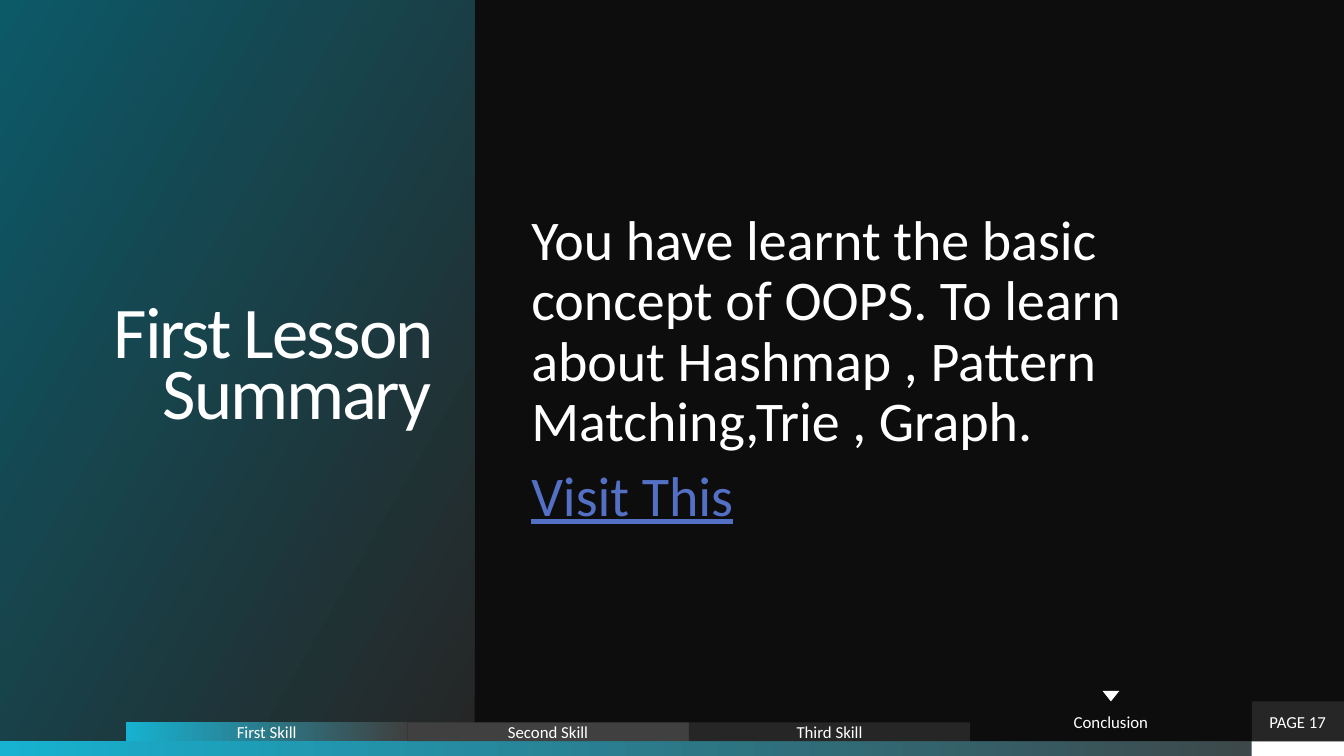
import pptx
import pptx.dml.color
import pptx.enum.shapes
import pptx.enum.text
import pptx.util

RGBColor = pptx.dml.color.RGBColor
MSO_SHAPE = pptx.enum.shapes.MSO_SHAPE
PP_ALIGN = pptx.enum.text.PP_ALIGN
MSO_ANCHOR = pptx.enum.text.MSO_ANCHOR

BLACK = RGBColor(0x0D, 0x0D, 0x0D)
DARK = RGBColor(0x26, 0x26, 0x26)
GREY = RGBColor(0x40, 0x40, 0x40)
CYAN = RGBColor(0x17, 0xB2, 0xD1)
TEAL = RGBColor(0x0C, 0x59, 0x68)
WHITE = RGBColor(0xFF, 0xFF, 0xFF)
LINK = RGBColor(0x53, 0x70, 0xC5)

WIDTH, HEIGHT = 1280, 720
BAR_TOP = 706
TAB_LEFT, TAB_WIDTH, TAB_HEIGHT = 120, 268, 18
ACTIVE_HEIGHT = 38
PAGE_LEFT = TAB_LEFT + 4 * TAB_WIDTH


def px(n):
    return pptx.util.Emu(n * 9525)


class Deck:
    font = "Calibri"

    def __init__(self):
        self.prs = pptx.Presentation()
        self.prs.slide_width, self.prs.slide_height = px(WIDTH), px(HEIGHT)
        self.s = self.prs.slides.add_slide(self.prs.slide_layouts[5])
        self.paint(self.s.background.fill, BLACK)

    def paint(self, fill, *colors, angle=0):
        if len(colors) == 1:
            fill.solid()
            fill.fore_color.rgb = colors[0]
            return
        fill.gradient()
        fill.gradient_angle = angle
        for stop, color in zip(fill.gradient_stops, colors):
            stop.color.rgb = color

    def frame(self, sp, inset_x=0, inset_y=0):
        tf = sp.text_frame
        tf.word_wrap = True
        tf.auto_size = pptx.enum.text.MSO_AUTO_SIZE.NONE
        tf.vertical_anchor = MSO_ANCHOR.MIDDLE
        tf.margin_left = tf.margin_right = px(inset_x)
        tf.margin_top = tf.margin_bottom = px(inset_y)
        return tf

    def line(self, p, text, size, align, color=WHITE):
        r = p.add_run()
        r.text = text
        p.alignment = align
        p.font.name = self.font
        p.font.size = pptx.util.Pt(size)
        p.font.color.rgb = color
        return r

    def shape(self, box, *colors, text=None, kind=MSO_SHAPE.RECTANGLE):
        sp = self.s.shapes.add_shape(kind, *map(px, box))
        sp.shadow.inherit = False
        sp.line.fill.background()
        self.paint(sp.fill, *colors)
        if text:
            tf = self.frame(sp)
            self.line(tf.paragraphs[0], text, 12, PP_ALIGN.CENTER)
        return sp

    def title(self, box, text):
        sp = self.s.shapes.title
        sp.left, sp.top, sp.width, sp.height = map(px, box)
        self.paint(sp.fill, DARK, TEAL, angle=150)
        p = self.frame(sp, inset_x=41).paragraphs[0]
        r = self.line(p, text, 52, PP_ALIGN.RIGHT)
        r._r.get_or_add_rPr().set("spc", "-150")
        p.line_spacing = 0.7

    def body(self, box, text, link):
        tf = self.frame(self.s.shapes.add_textbox(*map(px, box)), 12, 12)
        for p, words, color in ((tf.paragraphs[0], text, WHITE),
                                (tf.add_paragraph(), link, LINK)):
            self.line(p, words, 40, PP_ALIGN.LEFT, color)
            p.line_spacing = 0.9
            p.space_before = pptx.util.Pt(10)
        p.font.underline = True


def main():
    deck = Deck()
    page_width = WIDTH - PAGE_LEFT
    bar_height = HEIGHT - BAR_TOP
    deck.shape((0, BAR_TOP, WIDTH, bar_height), CYAN, GREY)
    deck.shape((PAGE_LEFT, BAR_TOP, page_width, bar_height), WHITE)
    deck.title((0, 0, 452, BAR_TOP), "First Lesson Summary")
    deck.body((494, 38, 698, 629),
              "You have learnt the basic concept of OOPS. To learn about "
              "Hashmap , Pattern Matching,Trie , Graph.",
              "Visit This")
    deck.shape((PAGE_LEFT, BAR_TOP - ACTIVE_HEIGHT, page_width, ACTIVE_HEIGHT),
               DARK, text="PAGE 17")

    tabs = (("First Skill", TAB_HEIGHT, (CYAN, GREY)),
            ("Second Skill", TAB_HEIGHT, (GREY,)),
            ("Third Skill", TAB_HEIGHT, (DARK,)),
            ("Conclusion", ACTIVE_HEIGHT, (BLACK,)))
    for i, (text, height, colors) in enumerate(tabs):
        left = TAB_LEFT + i * TAB_WIDTH
        deck.shape((left, BAR_TOP - height, TAB_WIDTH, height), *colors, text=text)

    marker = deck.shape((left + TAB_WIDTH // 2 - 8, 658, 16, 10), WHITE,
                        kind=MSO_SHAPE.ISOSCELES_TRIANGLE)
    marker.rotation = 180
    deck.prs.save("out.pptx")


if __name__ == "__main__":
    main()
